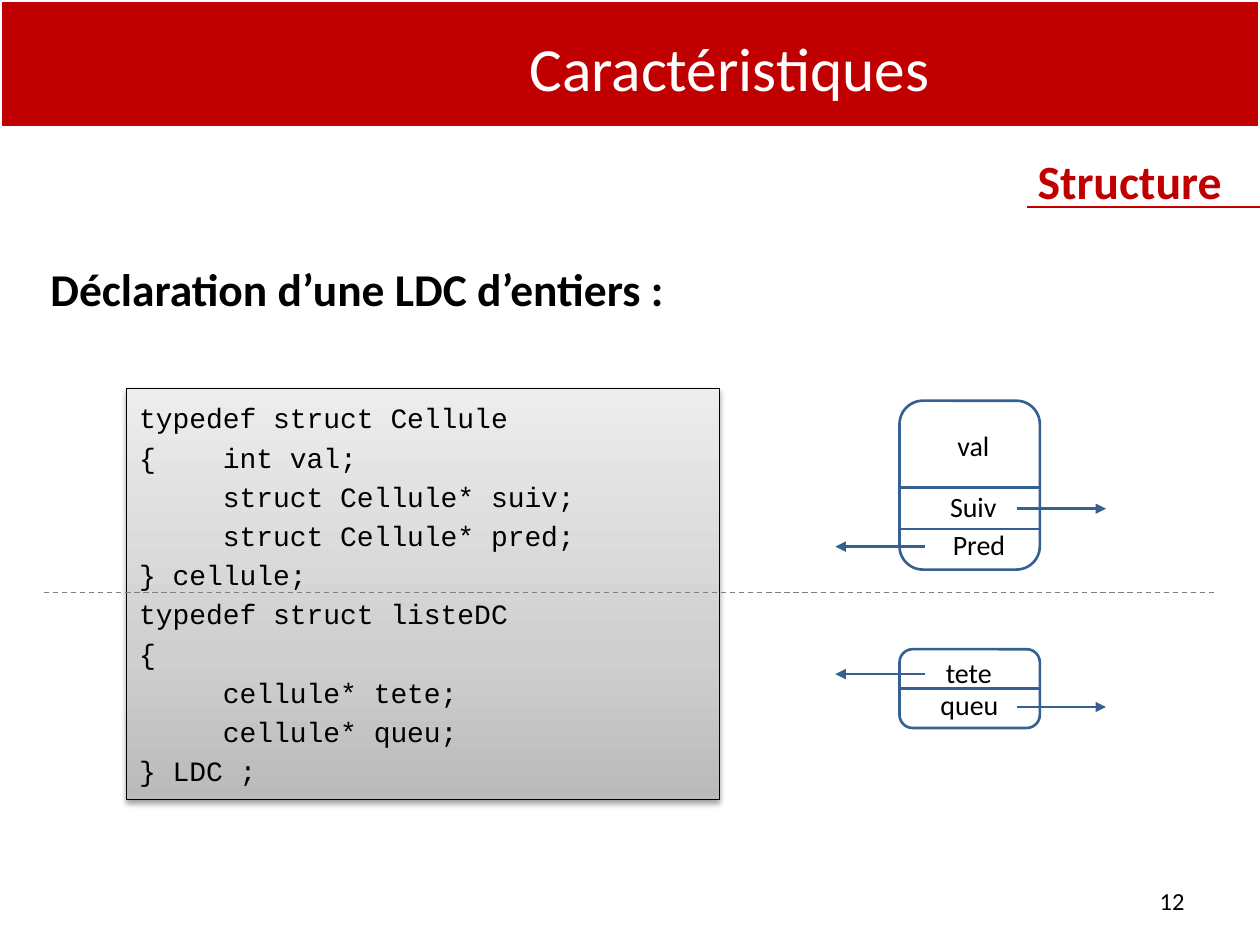
"""Builds the slide on declaring a doubly linked list of integers."""
from dataclasses import dataclass
from typing import Optional

from lxml.etree import SubElement
from pptx import Presentation
from pptx.dml.color import RGBColor
from pptx.enum.dml import MSO_LINE_DASH_STYLE as Dash
from pptx.enum.shapes import MSO_CONNECTOR as Conn, MSO_SHAPE as Shape
from pptx.enum.text import MSO_ANCHOR as Anchor, MSO_AUTO_SIZE as AutoSize, PP_ALIGN as Align
from pptx.oxml import parse_xml
from pptx.oxml.ns import nsdecls, qn
from pptx.util import Pt

RED = RGBColor(0xC0, 0x00, 0x00)
BLUE = RGBColor(0x36, 0x60, 0x92)
GRAY = RGBColor(0x7F, 0x7F, 0x7F)
BLACK = RGBColor(0x00, 0x00, 0x00)
WHITE = RGBColor(0xFF, 0xFF, 0xFF)
CODE_STOPS = (
    (0, RGBColor(0xBA, 0xBA, 0xBA)),
    (35, RGBColor(0xCF, 0xCF, 0xCF)),
    (100, RGBColor(0xED, 0xED, 0xED)),
)
CODE = """typedef struct Cellule
{    int val;
     struct Cellule* suiv;
     struct Cellule* pred;
} cellule;
typedef struct listeDC
{
     cellule* tete;
     cellule* queu;
} LDC ;"""

BOX_LEFT, BOX_WIDTH = 514, 80.2
RIGHT_ARROW = (581, 632)
LEFT_ARROW = (528.5, 477.4)


@dataclass
class Field:
    text: str
    left: float
    top: float
    width: float
    arrow: Optional[tuple] = None
    arrow_y: float = 0


@dataclass
class Record:
    top: float
    height: float
    dividers: list
    fields: list


RECORDS = [
    Record(229, 96.5, [278.7, 302.4], [
        Field("val", 517.7, 241.2, 77),
        Field("Suiv", 521.3, 276.5, 69.8, RIGHT_ARROW, 290.7),
        Field("Pred", 518.4, 298.1, 82, LEFT_ARROW, 312.4),
    ]),
    Record(371, 45, [393.5], [
        Field("tete", 512.6, 370.8, 82, LEFT_ARROW, 385.2),
        Field("queu", 519.1, 389.5, 69.8, RIGHT_ARROW, 404),
    ]),
]


def place(sp, left: float, top: float, width: float, height: float) -> None:
    sp.left, sp.top, sp.width, sp.height = Pt(left), Pt(top), Pt(width), Pt(height)


def write(sp, text: str, size: float, color: RGBColor, align: Align,
          anchor: Anchor = Anchor.MIDDLE, bold: bool = False, font: str = "Calibri") -> None:
    tf = sp.text_frame
    tf.text = text
    tf.word_wrap = True
    tf.auto_size = AutoSize.NONE
    tf.vertical_anchor = anchor
    for i, p in enumerate(tf.paragraphs):
        p.alignment = align
        p.space_before = Pt(3.2 if i else 0)
        for r in p.runs:
            r.font.name, r.font.size, r.font.bold = font, Pt(size), bold
            r.font.color.rgb = color


def add_label(shapes, box: tuple, *args, **kwargs) -> None:
    write(shapes.add_textbox(*map(Pt, box)), *args, **kwargs)


def add_line(shapes, x1: float, y1: float, x2: float, y2: float,
             color: RGBColor, width: float = 1.5, arrow: bool = False):
    cx = shapes.add_connector(Conn.STRAIGHT, Pt(x1), Pt(y1), Pt(x2), Pt(y2))
    cx.line.color.rgb, cx.line.width = color, Pt(width)
    if arrow:
        SubElement(cx.line._get_or_add_ln(), qn("a:tailEnd"), type="triangle", w="med", len="med")
    SubElement(cx.element.spPr, qn("a:effectLst"))
    return cx


def add_record(s, rec: Record) -> None:
    shapes = s.shapes.add_group_shape().shapes
    sp = shapes.add_shape(Shape.ROUNDED_RECTANGLE, Pt(BOX_LEFT), Pt(rec.top),
                          Pt(BOX_WIDTH), Pt(rec.height))
    sp.shadow.inherit = False
    sp.fill.background()
    sp.line.color.rgb, sp.line.width = BLUE, Pt(1.5)
    for y in rec.dividers:
        cx = add_line(shapes, BOX_LEFT, y, BOX_LEFT + BOX_WIDTH, y, BLUE)
        if y == rec.top + rec.height / 2:
            cx.begin_connect(sp, 1)
            cx.end_connect(sp, 3)
    for f in rec.fields:
        if f.arrow:
            add_line(shapes, f.arrow[0], f.arrow_y, f.arrow[1], f.arrow_y, BLUE, arrow=True)
        add_label(shapes, (f.left, f.top, f.width, 26.6), f.text, 16, BLACK,
                  Align.CENTER, Anchor.TOP)


def add_code(s) -> None:
    sp = s.shapes.add_shape(Shape.RECTANGLE, Pt(72.5), Pt(222), Pt(338.5), Pt(235))
    sp.line.color.rgb, sp.line.width = BLACK, Pt(0.75)
    spPr = sp.element.spPr
    stops = "".join(f'<a:gs pos="{pos * 1000}"><a:srgbClr val="{color}"/></a:gs>'
                    for pos, color in CODE_STOPS)
    spPr.insert(2, parse_xml(
        f'<a:gradFill {nsdecls("a")} rotWithShape="1"><a:gsLst>{stops}</a:gsLst>'
        '<a:lin ang="16200000" scaled="1"/></a:gradFill>'))
    spPr.append(parse_xml(
        f'<a:effectLst {nsdecls("a")}><a:outerShdw blurRad="{Pt(3.1)}" dist="{Pt(1.6)}" '
        'dir="5400000" rotWithShape="0"><a:srgbClr val="000000"><a:alpha val="37000"/>'
        '</a:srgbClr></a:outerShdw></a:effectLst>'))
    write(sp, CODE, 16, BLACK, Align.LEFT, font="Courier New")


def add_heading(s) -> None:
    title, body = s.shapes.title, s.placeholders[1]
    banner = s.shapes.add_shape(Shape.RECTANGLE, 0, 0, Pt(720), Pt(73))
    banner.shadow.inherit = False
    banner.fill.solid()
    banner.fill.fore_color.rgb = RED
    banner.line.color.rgb, banner.line.width = WHITE, Pt(2)
    banner.element.addnext(title.element)
    place(title, 156.2, 13.7, 521.3, 49.7)
    write(title, "Caractéristiques", 35.1, WHITE, Align.CENTER)

    place(body, 20.2, 145.4, 674.6, 368.6)
    body.text_frame.text = "Déclaration d’une LDC d’entiers :"
    write(body, body.text_frame.text, 26, BLACK, Align.JUSTIFY, Anchor.TOP, bold=True)
    pPr = body.text_frame.paragraphs[0]._p.get_or_add_pPr()
    pPr.set("marL", str(Pt(28.8)))
    pPr.set("indent", str(Pt(-27.4)))
    SubElement(pPr, qn("a:buNone"))


def main() -> None:
    prs = Presentation()
    prs.slide_width, prs.slide_height = Pt(720), Pt(540)
    s = prs.slides.add_slide(prs.slide_layouts[1])
    add_heading(s)
    for rec in RECORDS:
        add_record(s, rec)
    add_code(s)
    add_line(s.shapes, 25.2, 338.4, 694, 338.4, GRAY, 0.75).line.dash_style = Dash.DASH
    section = s.shapes.add_group_shape().shapes
    add_label(section, (190, 78.5, 521.3, 49.7), "Structure ", 27.3, RED, Align.RIGHT, bold=True)
    add_line(section, 586.8, 118.4, 720, 118.4, RED)
    add_label(s.shapes, (516.2, 500.4, 167.8, 28.8), "12", 14, BLACK, Align.RIGHT)
    prs.save("out.pptx")


if __name__ == "__main__":
    main()
